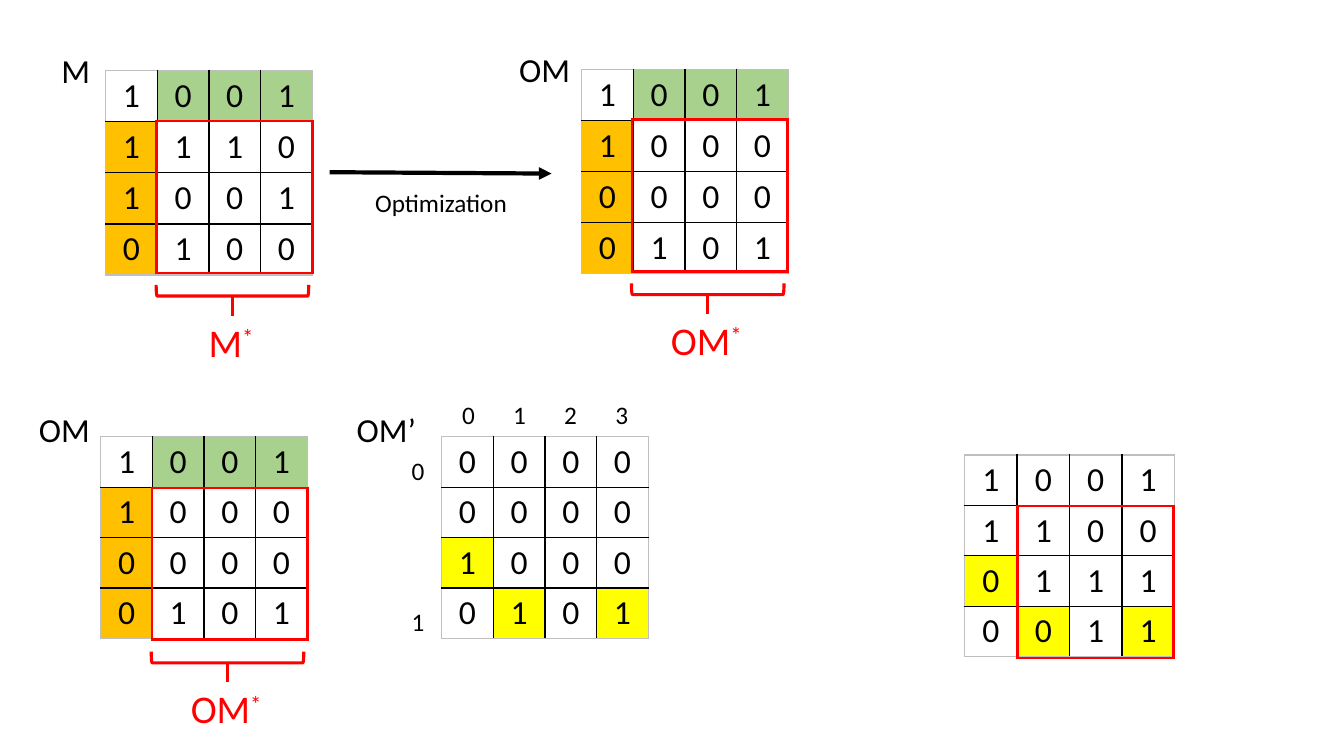
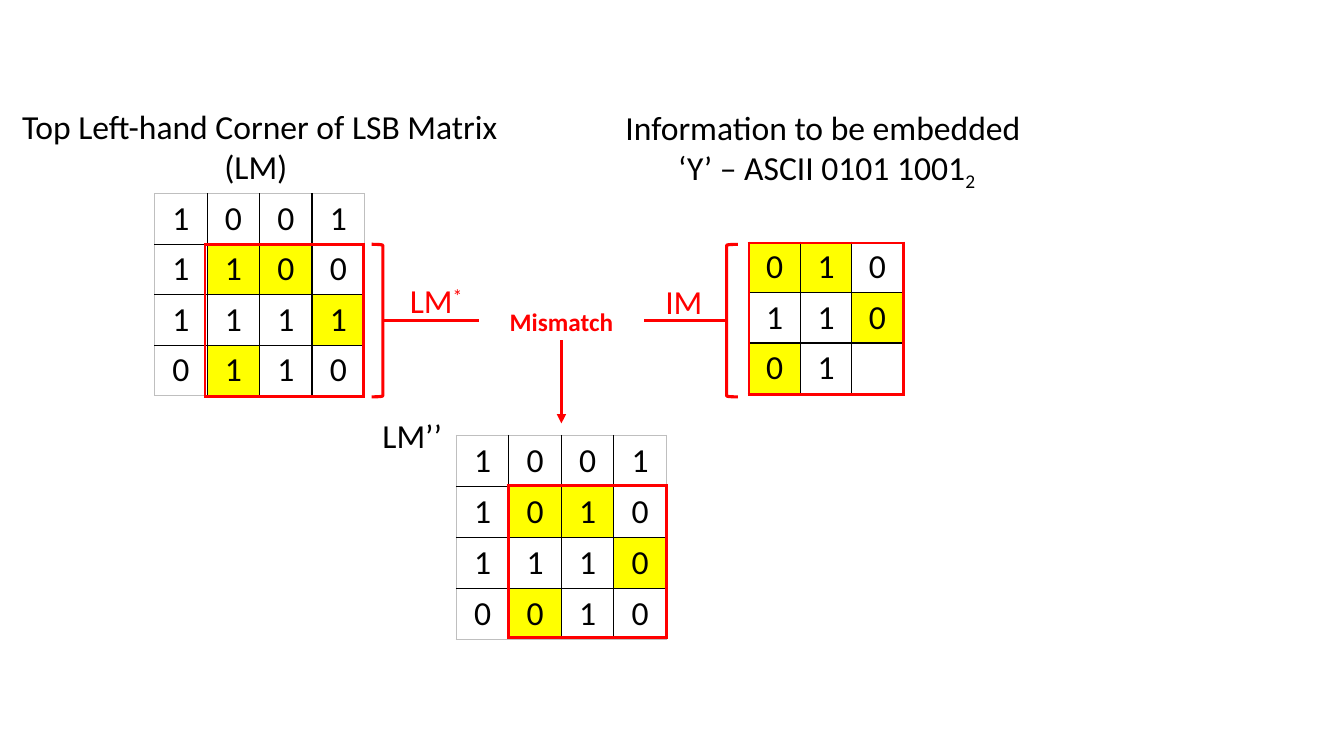
from lxml.etree import SubElement
from pptx import Presentation
from pptx.dml.color import RGBColor
from pptx.enum.shapes import MSO_CONNECTOR, MSO_SHAPE
from pptx.enum.text import MSO_ANCHOR, PP_ALIGN
from pptx.oxml.ns import qn
from pptx.util import Pt

FONT = "Calibri"
BLACK, RED, WHITE, GREY = "000000", "FF0000", "FFFFFF", "BFBFBF"
GREEN, ORANGE, YELLOW = "A9D18E", "FFC000", "FFFF00"
STROKE = 2.25
BRACKET_DEPTH, BRACKET_SPAN = 8, 109
FRAME_HEIGHT = 108.5

OPTIMIZED = ["1001", "1000", "0000", "0101"]
HEADED_MATRICES = [
    dict(grid=dict(rows=OPTIMIZED, left=415.5, top=49.5, row_height=36.5),
         frame=(451.5, 85.5, 111), name="OM", name_at=(363.5, 31.5, 51)),
    dict(grid=dict(rows=["1001", "1110", "1001", "0100"], left=75.5, top=50.5,
                   row_height=36.5),
         frame=(112, 86.5, 111), name="M", name_at=(36.5, 32, 35)),
    dict(grid=dict(rows=OPTIMIZED, left=72, top=312),
         frame=(108.5, 348.5, 111), name="OM", name_at=(20.5, 288.5, 51)),
]
INDEXED_MATRIX = dict(rows=["0000", "0000", "1000", "0101"], left=315.5, top=312,
                      marked={(2, 0), (3, 1), (3, 3)}, base=WHITE)
COLUMN_INDEXES = "0123"
ROW_INDEXES = "0\n1"
STEGO_MATRIX = dict(rows=["1001", "1100", "0111", "0011"], left=689, top=325,
                    column_width=37.5, marked={(2, 0), (3, 1), (3, 3)}, base=WHITE)
STEGO_FRAME = (727, 361.5, 111)
EMBEDDED_MATRIX = dict(rows=["1001", "1010", "1110", "0010"], left=326, top=311,
                       column_width=37.5, row_height=36.5, base=WHITE,
                       marked={(1, 1), (1, 2), (2, 3), (3, 1)})
LSB_MATRIX = dict(rows=["1001", "1100", "1111", "0110"], left=110.5, top=138.5,
                  column_width=37.5, base=WHITE,
                  marked={(1, 1), (1, 2), (2, 3), (3, 1)})
INFORMATION = dict(rows=["010", "110", "01 "], left=535, top=173,
                   column_width=36.7, marked={(0, 0), (0, 1), (1, 2), (2, 0)})
COMPARED = [
    (EMBEDDED_MATRIX, (363, 347, 113)),
    (LSB_MATRIX, (146.5, 174.5, 113)),
    (INFORMATION, (535, 173.5, 110.5)),
]


def color(value):
    return RGBColor.from_string(value)


def add_text(slide, text, left, top, width, height=36, size=24, ink=BLACK,
             bold=False, wrap=False, shifted="", baseline=30, align=PP_ALIGN.CENTER):
    box = slide.shapes.add_textbox(Pt(left), Pt(top), Pt(width), Pt(height))
    frame = box.text_frame
    frame.word_wrap = wrap
    lines = text.split("\n")
    for number, line in enumerate(lines):
        paragraph = frame.paragraphs[0] if number == 0 else frame.add_paragraph()
        paragraph.alignment = align
        pieces = [(line, 0)]
        if shifted and number == len(lines) - 1:
            pieces.append((shifted, baseline))
        for words, shift in pieces:
            run = paragraph.add_run()
            run.text = words
            run.font.name, run.font.size, run.font.bold = FONT, Pt(size), bold
            run.font.color.rgb = color(ink)
            if shift:
                run._r.get_or_add_rPr().set("baseline", str(shift * 1000))
    return box


def add_line(slide, start, end, ink=RED, width=STROKE, arrow=False):
    line = slide.shapes.add_connector(MSO_CONNECTOR.STRAIGHT, *map(Pt, (*start, *end)))
    line.line.color.rgb = color(ink)
    line.line.width = Pt(width)
    if arrow:
        SubElement(line.line._get_or_add_ln(), qn("a:tailEnd"), type="triangle")
    SubElement(line._element.spPr, qn("a:effectLst"))
    return line


def add_bracket(slide, left, top, rotation=0):
    bracket = slide.shapes.add_shape(MSO_SHAPE.RIGHT_BRACKET, Pt(left), Pt(top),
                                     Pt(BRACKET_DEPTH), Pt(BRACKET_SPAN))
    bracket.shadow.inherit = False
    bracket.fill.background()
    bracket.line.color.rgb = color(RED)
    bracket.line.width = Pt(STROKE)
    bracket.rotation = rotation


def add_grid(slide, left, top, row_count, column_count, column_width, row_height):
    table = slide.shapes.add_table(
        row_count, column_count, Pt(left), Pt(top),
        Pt(column_width * column_count), Pt(row_height * row_count)).table
    table.first_row = table.horz_banding = False
    for column in table.columns:
        column.width = Pt(column_width)
    for row in table.rows:
        row.height = Pt(row_height)
    return table


def set_border(cell, side, ink, width=1):
    border = SubElement(cell._tc.get_or_add_tcPr(), qn("a:ln" + side), w=str(Pt(width)))
    SubElement(SubElement(border, qn("a:solidFill")), qn("a:srgbClr"), val=ink)


def set_fill(cell, ink):
    if ink:
        cell.fill.solid()
        cell.fill.fore_color.rgb = color(ink)
    else:
        cell.fill.background()


def add_matrix(slide, rows, left, top, column_width=36.9, row_height=36,
               marked=(), base=None, headed=False):
    last_row, last_column = len(rows) - 1, len(rows[0]) - 1
    table = add_grid(slide, left, top, last_row + 1, last_column + 1,
                     column_width, row_height)
    for r, digits in enumerate(rows):
        for c, digit in enumerate(digits):
            cell = table.cell(r, c)
            cell.margin_top = cell.margin_bottom = Pt(3)
            cell.vertical_anchor = MSO_ANCHOR.MIDDLE
            edges = {"L": c == 0, "R": c == last_column, "T": r == 0, "B": r == last_row}
            for side, outer in edges.items():
                set_border(cell, side, GREY if outer else BLACK)
            fill = YELLOW if (r, c) in marked else base
            if headed and (r == 0) != (c == 0):
                fill = GREEN if r == 0 else ORANGE
            set_fill(cell, fill)
            if digit != " ":
                paragraph = cell.text_frame.paragraphs[0]
                paragraph.alignment = PP_ALIGN.CENTER
                run = paragraph.add_run()
                run.text = digit
                run.font.name, run.font.size = FONT, Pt(24)
                run.font.color.rgb = color(BLACK)


def add_frame(slide, left, top, width):
    cell = add_grid(slide, left, top, 1, 1, width, FRAME_HEIGHT).cell(0, 0)
    for side in "LRTB":
        set_border(cell, side, RED, STROKE)
    set_fill(cell, None)


def add_indexes(slide):
    left, top = INDEXED_MATRIX["left"], INDEXED_MATRIX["top"]
    columns = add_text(slide, "".join("\t" + index for index in COLUMN_INDEXES),
                       left, top - 30, 148, 29, size=18, wrap=True, align=PP_ALIGN.LEFT)
    properties = columns.text_frame.paragraphs[0]._p.get_or_add_pPr()
    stops = SubElement(properties, qn("a:tabLst"))
    for c in range(len(COLUMN_INDEXES)):
        SubElement(stops, qn("a:tab"), pos=str(Pt(12 + 36.5 * c)), algn="ctr")

    rows = add_text(slide, ROW_INDEXES, left - 28.5, top - 5, 24, 152, size=18,
                    wrap=True, align=PP_ALIGN.LEFT)
    for paragraph in rows.text_frame.paragraphs:
        paragraph.line_spacing = Pt(36)
    rows.text_frame.paragraphs[1].space_before = Pt(72)


def build_optimization(slide):
    for matrix in HEADED_MATRICES:
        add_matrix(slide, headed=True, **matrix["grid"])
        add_frame(slide, *matrix["frame"])
        left, top, width = matrix["frame"]
        middle = left + width / 2 - 1.5
        bracket_top = top + FRAME_HEIGHT + 8.5
        stem_top = bracket_top + BRACKET_DEPTH
        add_bracket(slide, middle - BRACKET_DEPTH / 2,
                    bracket_top + (BRACKET_DEPTH - BRACKET_SPAN) / 2, rotation=90)
        add_line(slide, (middle, stem_top), (middle, stem_top + 14))
        add_text(slide, matrix["name"], middle - 35, stem_top + 12, 68, 41,
                 size=28, ink=RED, shifted="*")
        add_text(slide, matrix["name"], *matrix["name_at"])

    add_line(slide, (235.5, 123), (394, 124), ink=BLACK, width=3, arrow=True)
    add_text(slide, "Optimization", 244, 130.5, 142, 29, size=18, wrap=True)

    add_matrix(slide, **STEGO_MATRIX)
    add_frame(slide, *STEGO_FRAME)

    add_matrix(slide, **INDEXED_MATRIX)
    add_indexes(slide)
    add_text(slide, "OM’", 247, 288.5, 58)


def build_mismatch(slide):
    for matrix, frame in COMPARED:
        add_matrix(slide, **matrix)
        add_frame(slide, *frame)

    add_text(slide, "Top Left-hand Corner of LSB Matrix (LM) ", 3, 72, 365, 66, wrap=True)
    add_text(slide, "Information to be embedded \n‘Y’ – ASCII 0101 1001", 434.5, 72.5,
             312, 66, wrap=True, shifted="2", baseline=-25)
    add_text(slide, "LM’’", 265.5, 293, 58)
    add_text(slide, "LM", 285, 196.5, 53, ink=RED, shifted="*")
    add_text(slide, "IM", 468, 197, 41, ink=RED)
    mismatch = add_text(slide, "Mismatch", 342, 215, 118, 28, size=18, ink=RED,
                        bold=True, wrap=True)

    middle = 229
    for left, rotation in ((265.5, 0), (519, 180)):
        add_bracket(slide, left, middle - BRACKET_SPAN / 2, rotation)
    for start, end, side in (((273.5, middle), (342, middle), 1),
                             ((519, middle), (460, middle), 3)):
        add_line(slide, start, end).end_connect(mismatch, side)
    add_line(slide, (401, 243), (401, 302.5), arrow=True).begin_connect(mismatch, 2)


def main():
    deck = Presentation()
    deck.slide_width, deck.slide_height = Pt(960), Pt(540)
    for build in (build_optimization, build_mismatch):
        build(deck.slides.add_slide(deck.slide_layouts[6]))
    deck.save("out.pptx")


if __name__ == "__main__":
    main()
